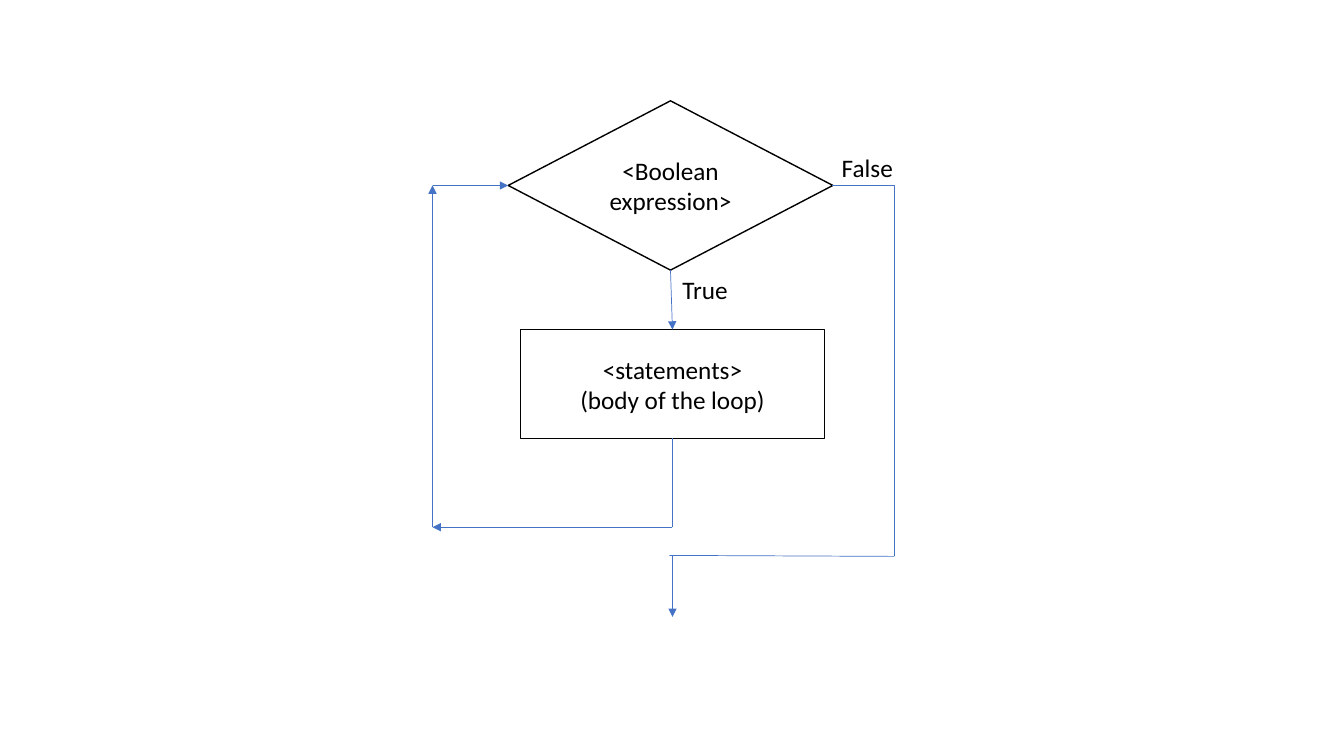
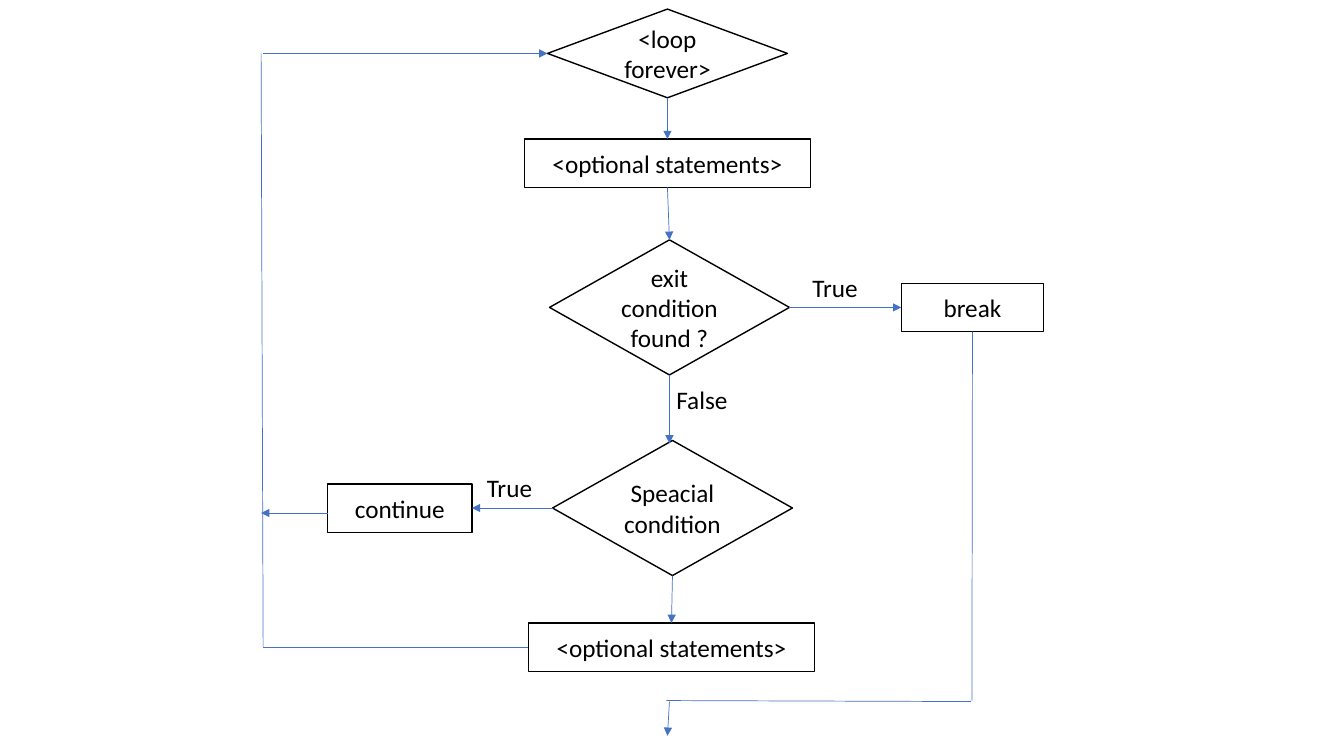
import pptx
import pptx.util
import pptx.dml.color
import pptx.oxml
import pptx.oxml.ns
import pptx.enum.shapes
import pptx.enum.text

Inches, Pt = pptx.util.Inches, pptx.util.Pt
RGB = pptx.dml.color.RGBColor
SHAPE = pptx.enum.shapes.MSO_SHAPE
CONNECTOR = pptx.enum.shapes.MSO_CONNECTOR
ALIGN = pptx.enum.text.PP_ALIGN

# Shared style
BLACK, WHITE, BLUE = RGB(0, 0, 0), RGB(255, 255, 255), RGB(0x44, 0x72, 0xC4)
FONT, SIZE = "Calibri", 18
DECISION, PROCESS = SHAPE.FLOWCHART_DECISION, SHAPE.FLOWCHART_PROCESS
SIDES = ("top", "left", "bottom", "right")  # order of connection sites
ARROW, PLAIN, ELBOW = "arrow", "plain", "elbow"

# Content: nodes are name: (kind, left, top, width, height, text);
# links join points or (node, side) pairs; labels are (text, left, top, width)
WHILE_LOOP = dict(
    nodes={
        "test": (DECISION, 5.04, 1, 3.22, 1.68, "<Boolean expression>"),
        "body": (PROCESS, 5.16, 3.27, 3.02, 1.08, "<statements>\n(body of the loop)"),
    },
    links=[
        ((8.25, 1.84), (8.87, 5.52), ELBOW),
        ((8.87, 5.52), (6.64, 5.51), PLAIN),
        (("test", "bottom"), ("body", "top"), ARROW),
        (("body", "bottom"), (6.67, 5.23), PLAIN),
        ((6.67, 5.23), (4.29, 5.23), ARROW),
        ((4.29, 5.23), (4.29, 1.84), ARROW),
        ((4.29, 1.84), ("test", "left"), ARROW),
        ((6.67, 5.51), (6.67, 6.12), ARROW),
    ],
    labels=[("False", 8.25, 1.46, 0.71), ("True", 6.67, 2.67, 0.66)],
)
ENDLESS_LOOP = dict(
    nodes={
        "loop": (DECISION, 5.43, 0.09, 2.38, 0.88, "<loop forever>"),
        "before": (PROCESS, 5.2, 1.38, 2.84, 0.48, "<optional statements>"),
        "exit": (DECISION, 5.45, 2.38, 2.38, 1.34, "exit condition\nfound ?"),
        "break": (PROCESS, 8.94, 2.81, 1.41, 0.48, "break"),
        "special": (DECISION, 5.48, 4.37, 2.38, 1.34, "Speacial\ncondition"),
        "continue": (PROCESS, 3.25, 4.8, 1.43, 0.48, "continue"),
        "after": (PROCESS, 5.24, 6.18, 2.84, 0.48, "<optional statements>"),
    },
    links=[
        (("loop", "bottom"), ("before", "top"), ARROW),
        (("before", "bottom"), ("exit", "top"), ARROW),
        (("exit", "right"), ("break", "left"), ARROW),
        (("exit", "bottom"), (6.64, 4.4), ARROW),
        (("special", "left"), ("continue", "right"), ARROW),
        (("special", "bottom"), ("after", "top"), ARROW),
        ((3.25, 5.09), (2.59, 5.09), ARROW),
        (("after", "left"), (2.61, 6.42), PLAIN),
        ((2.61, 6.42), (2.59, 0.53), PLAIN),
        ((2.61, 0.53), ("loop", "left"), ARROW),
        (("break", "bottom"), (9.64, 6.95), PLAIN),
        ((9.63, 6.96), (6.61, 6.95), PLAIN),
        ((6.64, 6.96), (6.62, 7.3), ARROW),
    ],
    labels=[("False", 6.61, 3.76, 0.71), ("True", 4.73, 4.64, 0.66),
            ("True", 7.96, 2.65, 0.66)],
)


def write(shape, text, align=ALIGN.LEFT, wrap=True):
    tf = shape.text_frame
    tf.word_wrap = wrap
    tf.text = text
    for p in tf.paragraphs:
        p.alignment = align
        for r in p.runs:
            r.font.name, r.font.size = FONT, Pt(SIZE)
            r.font.color.rgb = BLACK
    return tf


def add_node(s, kind, left, top, width, height, text):
    sp = s.shapes.add_shape(kind, *map(Inches, (left, top, width, height)))
    sp.shadow.inherit = False
    sp.fill.solid()
    sp.fill.fore_color.rgb = WHITE
    sp.line.color.rgb, sp.line.width = BLACK, Pt(1)
    tf = write(sp, text, align=ALIGN.CENTER)
    tf.vertical_anchor = pptx.enum.text.MSO_ANCHOR.MIDDLE
    return sp


def add_link(s, nodes, start, end, style):
    cx = s.shapes.add_connector(CONNECTOR.ELBOW if style == ELBOW else CONNECTOR.STRAIGHT,
                                0, 0, 0, 0)
    # Place both ends before attaching any of them to a node
    free = [(0, 0) if p[0] in nodes else p for p in (start, end)]
    cx.begin_x, cx.begin_y = map(Inches, free[0])
    cx.end_x, cx.end_y = map(Inches, free[1])
    for point, attach in ((start, cx.begin_connect), (end, cx.end_connect)):
        if point[0] in nodes:
            attach(nodes[point[0]], SIDES.index(point[1]))
    cx.line.color.rgb, cx.line.width = BLUE, Pt(0.5)
    props = cx._element.spPr
    if style == ELBOW:  # a single corner
        props.find(pptx.oxml.ns.qn("a:prstGeom")).set("prst", "bentConnector2")
    if style == ARROW:
        tail = pptx.oxml.parse_xml(f'<a:tailEnd {pptx.oxml.ns.nsdecls("a")} type="triangle"/>')
        props.find(pptx.oxml.ns.qn("a:ln")).append(tail)
    props.append(pptx.oxml.parse_xml(f'<a:effectLst {pptx.oxml.ns.nsdecls("a")}/>'))


def add_label(s, text, left, top, width):
    tb = s.shapes.add_textbox(*map(Inches, (left, top, width, 0.4)))
    tf = write(tb, text, wrap=False)
    tf.auto_size = pptx.enum.text.MSO_AUTO_SIZE.SHAPE_TO_FIT_TEXT


# Build the flowcharts
prs = pptx.Presentation()
prs.slide_width, prs.slide_height = Inches(13.33), Inches(7.5)
for chart in (WHILE_LOOP, ENDLESS_LOOP):
    s = prs.slides.add_slide(prs.slide_layouts[6])
    nodes = {name: add_node(s, *node) for name, node in chart["nodes"].items()}
    for link in chart["links"]:
        add_link(s, nodes, *link)
    for label in chart["labels"]:
        add_label(s, *label)
prs.save("out.pptx")
